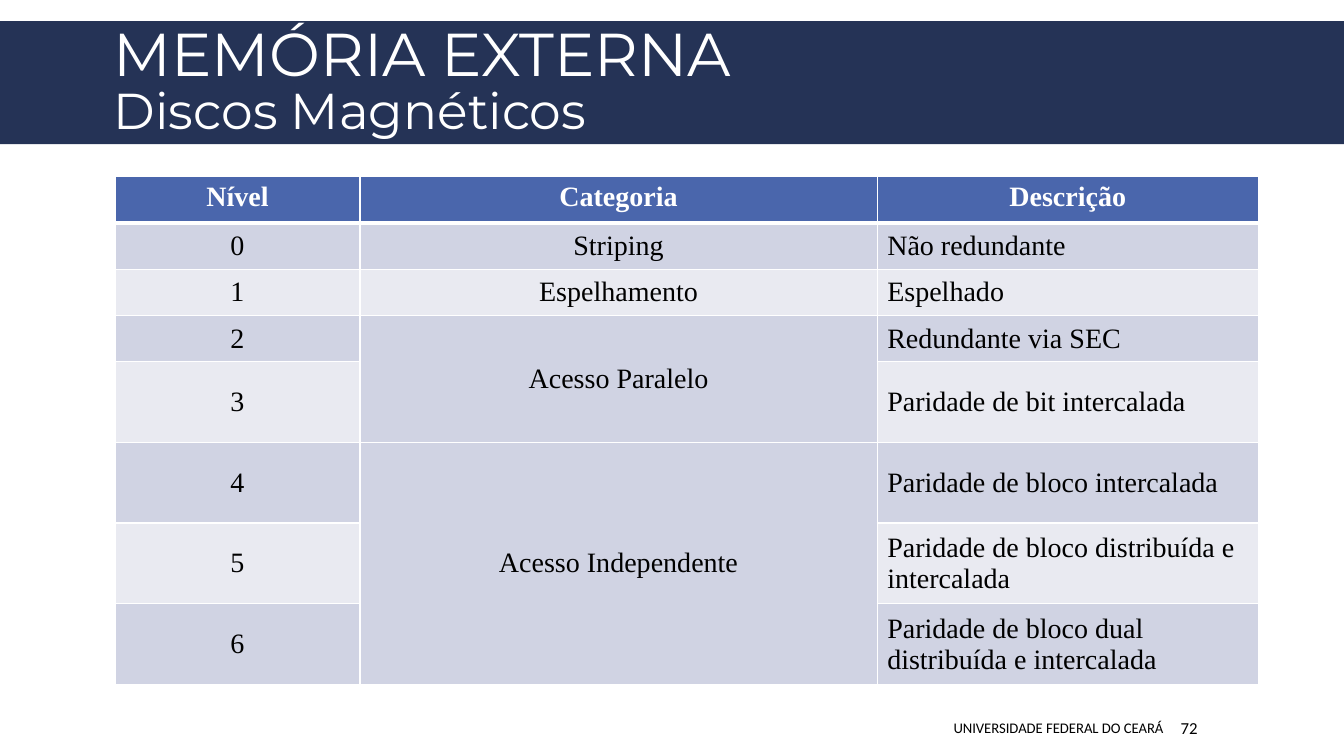
from dataclasses import dataclass

from lxml.etree import SubElement
from pptx import Presentation
from pptx.dml.color import RGBColor
from pptx.enum.shapes import MSO_SHAPE
from pptx.enum.text import MSO_ANCHOR, PP_ALIGN
from pptx.oxml.ns import qn
from pptx.slide import Slide
from pptx.table import _Cell
from pptx.text.text import TextFrame
from pptx.util import Emu, Pt

PX = 9144  # 100 px to the inch

NAVY = RGBColor(0x25, 0x33, 0x56)
BLUE = RGBColor(0x4A, 0x66, 0xAC)
BAND_DARK = RGBColor(0xD0, 0xD3, 0xE3)
BAND_LIGHT = RGBColor(0xE9, 0xEA, 0xF1)
WHITE = RGBColor(0xFF, 0xFF, 0xFF)
BLACK = RGBColor(0, 0, 0)


@dataclass(frozen=True)
class Box:
    left: int
    top: int
    width: int
    height: int

    def emu(self) -> tuple[Emu, ...]:
        return tuple(px(v) for v in (self.left, self.top, self.width, self.height))


@dataclass(frozen=True)
class FooterItem:
    text: str
    box: Box
    size: float
    align: PP_ALIGN
    left_inset: int = 10


@dataclass(frozen=True)
class RaidLevel:
    category: str  # empty when it continues the category above
    description: str
    height: int


HEADERS = ("Nível", "Categoria", "Descrição")
HEADER_HEIGHT = 46
COLUMN_WIDTHS = (243, 513, 378)
LEVELS = (
    RaidLevel("Striping", "Não redundante", 46),
    RaidLevel("Espelhamento", "Espelhado", 46),
    RaidLevel("Acesso Paralelo", "Redundante via SEC", 46),
    RaidLevel("", "Paridade de bit intercalada", 80),
    RaidLevel("Acesso Independente", "Paridade de bloco intercalada", 80),
    RaidLevel("", "Paridade de bloco distribuída e intercalada", 80),
    RaidLevel("", "Paridade de bloco dual distribuída e intercalada", 80),
)
FOOTER = (
    FooterItem("UNIVERSIDADE FEDERAL DO CEARÁ", Box(612, 702, 552, 40), 10.5, PP_ALIGN.RIGHT),
    FooterItem("72", Box(1166, 702, 103, 40), 12, PP_ALIGN.LEFT, 5),
)


def px(length: int) -> Emu:
    return Emu(length * PX)


def add_text_frame(slide: Slide, box: Box) -> TextFrame:
    frame = slide.shapes.add_textbox(*box.emu()).text_frame
    frame.word_wrap = True
    frame.vertical_anchor = MSO_ANCHOR.MIDDLE
    return frame


def add_title(slide: Slide) -> None:
    band = slide.shapes.add_shape(MSO_SHAPE.RECTANGLE, *Box(0, 21, 1333, 122).emu())
    band.shadow.inherit = False
    band.fill.solid()
    band.fill.fore_color.rgb = NAVY
    band.line.fill.background()

    title = add_text_frame(slide, Box(103, 25, 1133, 116)).paragraphs[0]
    title.line_spacing = 0.85
    title.font.name = "Montserrat"
    title.font.color.rgb = WHITE
    subject = title.add_run()
    subject.text = "MEMÓRIA EXTERNA"
    subject.font.size = Pt(43.2)
    title.add_line_break()
    topic = title.add_run()
    topic.text = "Discos Magnéticos"
    topic.font.size = Pt(36)


def add_footer_item(slide: Slide, item: FooterItem) -> None:
    frame = add_text_frame(slide, item.box)
    frame.margin_left = px(item.left_inset)
    paragraph = frame.paragraphs[0]
    paragraph.text = item.text
    paragraph.alignment = item.align
    paragraph.font.name = "Calibri"
    paragraph.font.size = Pt(item.size)
    paragraph.font.color.rgb = BLACK


def style_cell(cell: _Cell, row: int, column: int, fill: RGBColor) -> None:
    # Borders: thicker between the header and the first level
    widths = {"lnL": 1, "lnR": 1, "lnT": 3 if row == 1 else 1, "lnB": 3 if row == 0 else 1}
    properties = cell._tc.get_or_add_tcPr()
    for side, width in widths.items():
        line = SubElement(properties, qn(f"a:{side}"), w=str(Pt(width)))
        color = SubElement(line, qn("a:solidFill"))
        SubElement(color, qn("a:srgbClr"), val=str(WHITE))
    cell.fill.solid()
    cell.fill.fore_color.rgb = fill

    is_header = row == 0
    cell.vertical_anchor = MSO_ANCHOR.TOP if is_header else MSO_ANCHOR.MIDDLE
    paragraph = cell.text_frame.paragraphs[0]
    paragraph.alignment = PP_ALIGN.CENTER if is_header or column < 2 else PP_ALIGN.LEFT
    paragraph.font.name = "Times New Roman"
    paragraph.font.size = Pt(20)
    paragraph.font.bold = is_header
    paragraph.font.color.rgb = WHITE if is_header else BLACK


def add_levels_table(slide: Slide) -> None:
    heights = [HEADER_HEIGHT] + [level.height for level in LEVELS]
    box = Box(114, 175, sum(COLUMN_WIDTHS), sum(heights))
    table = slide.shapes.add_table(len(heights), len(HEADERS), *box.emu()).table
    for column, width in zip(table.columns, COLUMN_WIDTHS):
        column.width = px(width)
    for table_row, height in zip(table.rows, heights):
        table_row.height = px(height)

    # Contents and banding
    contents = [HEADERS] + [
        (str(number), level.category, level.description)
        for number, level in enumerate(LEVELS)
    ]
    for row, texts in enumerate(contents):
        fill = BLUE if row == 0 else BAND_DARK if row % 2 else BAND_LIGHT
        for column, text in enumerate(texts):
            cell = table.cell(row, column)
            cell.text = text
            style_cell(cell, row, column, fill)

    # Categories shared by several levels
    starts = [row for row, level in enumerate(LEVELS, 1) if level.category]
    for start, following in zip(starts, starts[1:] + [len(heights)]):
        if following - start > 1:
            table.cell(start, 1).merge(table.cell(following - 1, 1))


def main() -> None:
    presentation = Presentation()
    presentation.slide_width = px(1333)
    presentation.slide_height = px(750)
    slide = presentation.slides.add_slide(presentation.slide_layouts[6])
    add_title(slide)
    for item in FOOTER:
        add_footer_item(slide, item)
    add_levels_table(slide)
    presentation.save("out.pptx")


if __name__ == "__main__":
    main()
